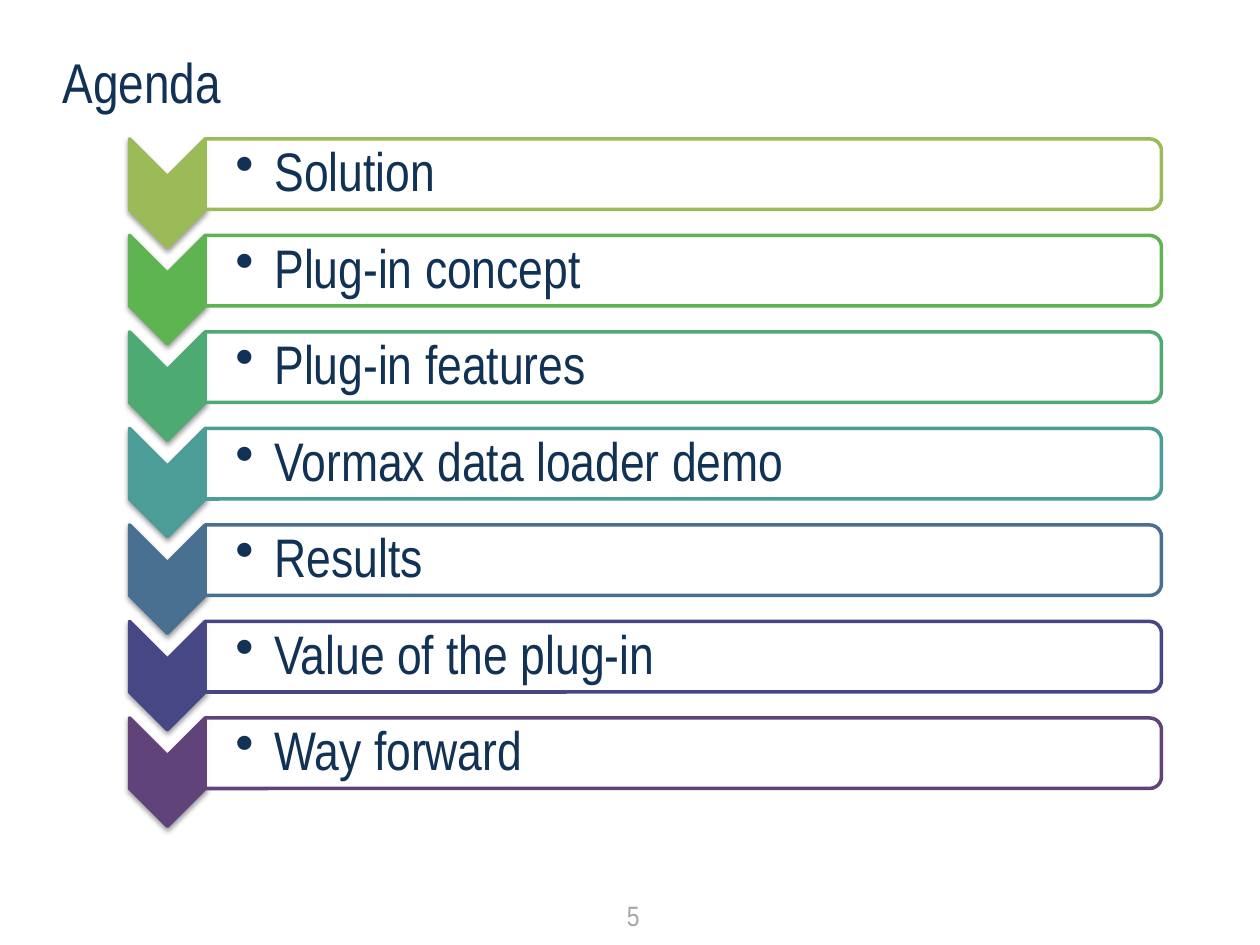
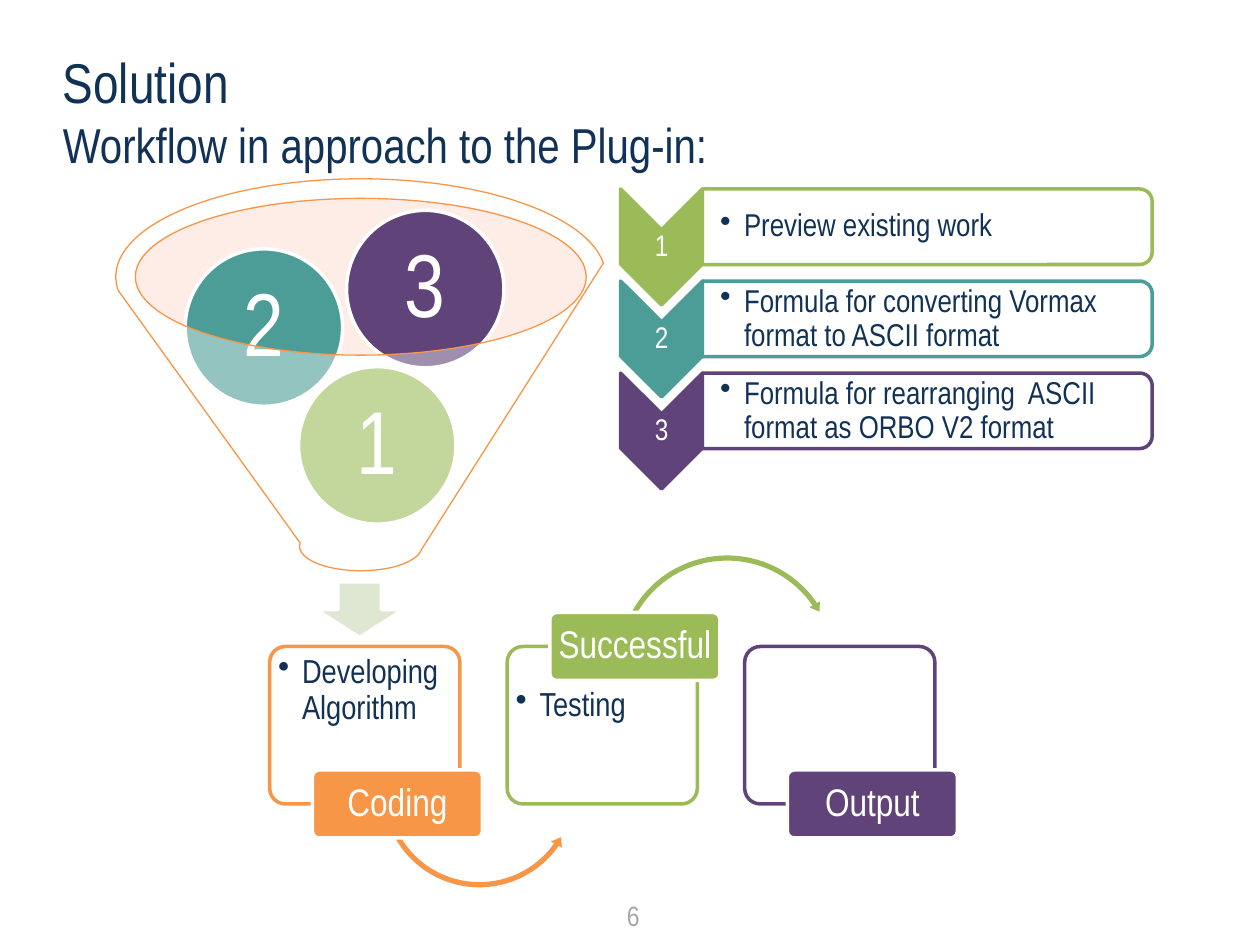
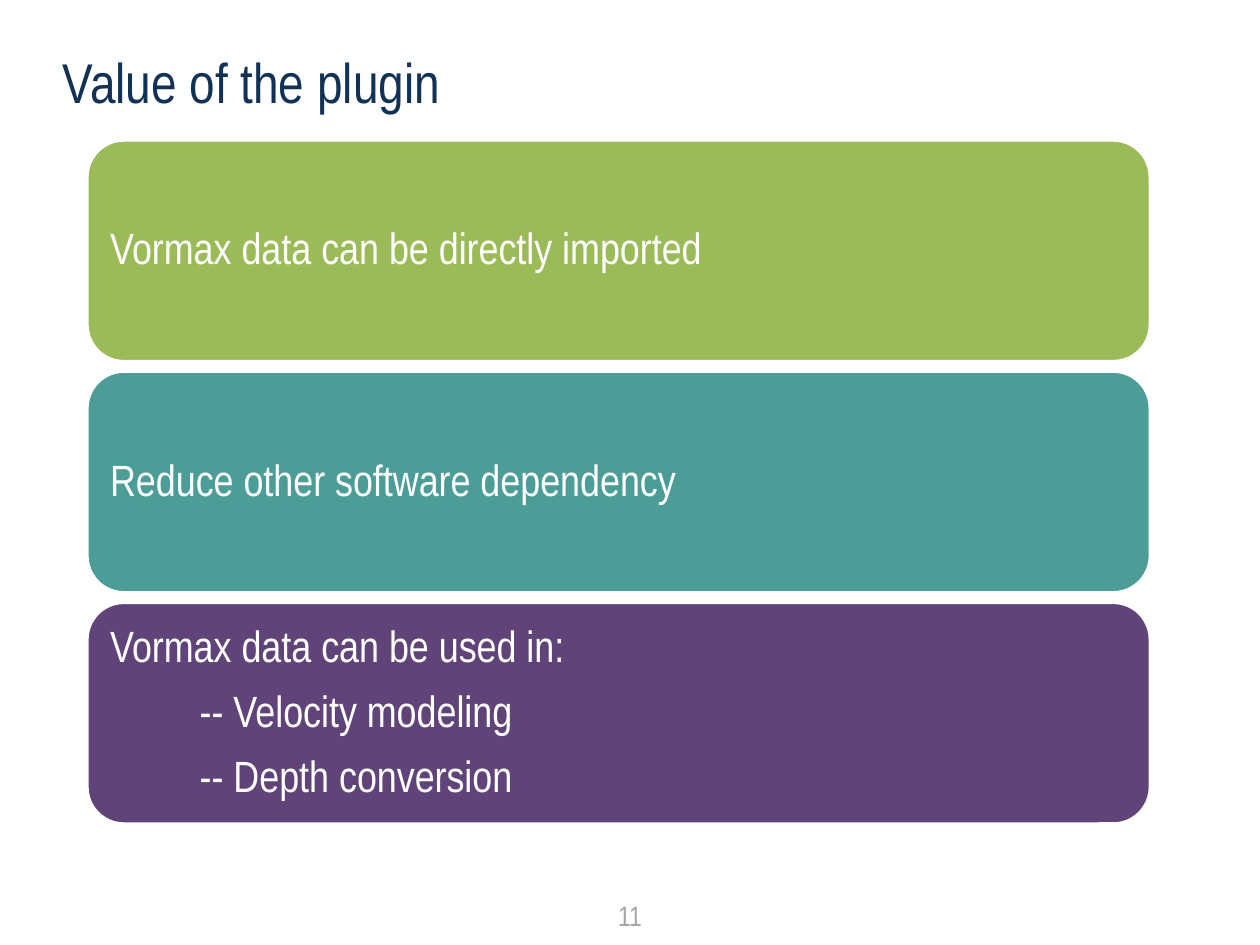
from lxml import etree
from pptx import Presentation
from pptx.dml.color import RGBColor
from pptx.enum.shapes import MSO_SHAPE
from pptx.enum.text import MSO_ANCHOR, PP_ALIGN
from pptx.oxml.ns import qn
from pptx.util import Pt

CHEVRON, HALF_ROUND = MSO_SHAPE.CHEVRON, MSO_SHAPE.ROUND_2_SAME_RECTANGLE
ROUNDED, ELLIPSE, FUNNEL = MSO_SHAPE.ROUNDED_RECTANGLE, MSO_SHAPE.OVAL, MSO_SHAPE.FUNNEL
DOWN_ARROW, ARC_OVER = MSO_SHAPE.DOWN_ARROW, MSO_SHAPE.CIRCULAR_ARROW
ARC_UNDER = MSO_SHAPE.LEFT_CIRCULAR_ARROW
TOP, MIDDLE = MSO_ANCHOR.TOP, MSO_ANCHOR.MIDDLE
LEFT, CENTER = PP_ALIGN.LEFT, PP_ALIGN.CENTER

FONT = "Arial Narrow"
NAVY, GREY, WHITE = "123255", "A6A6A6", "FFFFFF"
GREEN, TEAL, PURPLE, ORANGE = "9BBB59", "4C9D97", "604479", "F79646"
PALE_GREEN, PEACH = "DEE7D1", "FBD3C1"


def rgb(value):
    return RGBColor.from_string(value)


class Deck:
    """Hold the shared style and the current slide."""

    def __init__(self):
        self.prs = Presentation()
        self.prs.slide_width, self.prs.slide_height = Pt(720), Pt(540)
        self.slide = None

    def new_slide(self, title, number):
        self.slide = self.prs.slides.add_slide(self.prs.slide_layouts[6])
        self.textbox((28.8, 23.8, 662, 90), [title], 32, insets=(7.2, 3.6))
        self.textbox((0, 509.8, 720, 26.6), [f"{number:>2}"], 16, GREY, CENTER,
                     insets=(7.2, 3.6))

    def fill_text(self, shape, lines, size, color=NAVY, align=LEFT, anchor=TOP,
                  insets=(1, 1), bullet=0, indents=(), spacing=None, after=0):
        frame = shape.text_frame
        frame.word_wrap = True
        frame.vertical_anchor = anchor
        frame.margin_left, frame.margin_top = Pt(insets[0]), Pt(insets[1])
        frame.margin_right = Pt(min(insets[0], 7.2))
        frame.margin_bottom = Pt(min(insets[1], 7.2))
        for index, line in enumerate(lines):
            paragraph = frame.add_paragraph() if index else frame.paragraphs[0]
            paragraph.alignment = align
            paragraph.line_spacing = spacing
            paragraph.space_after = Pt(after)
            properties = paragraph._p.get_or_add_pPr()
            if bullet:
                properties.set("marL", str(Pt(bullet)))
                properties.set("indent", str(-Pt(bullet)))
                etree.SubElement(properties, qn("a:buChar"), char="•")
            elif indents:
                properties.set("marL", str(Pt(indents[index])))
            run = paragraph.add_run()
            run.text = line
            run.font.name, run.font.size = FONT, Pt(size)
            run.font.color.rgb = rgb(color)

    def textbox(self, box, lines, size, *args, **style):
        area = self.slide.shapes.add_textbox(*map(Pt, box))
        self.fill_text(area, lines, size, *args, **style)

    def shape(self, kind, box, fill, line=None, weight=2, alpha=100, adjust=(),
              turned=False, shadow=False):
        left, top, width, height = box
        if turned:
            left, top = left + (width - height) / 2, top + (height - width) / 2
            width, height = height, width
        shape = self.slide.shapes.add_shape(kind, *map(Pt, (left, top, width, height)))
        shape.rotation = 90 if turned else 0
        for index, value in enumerate(adjust):
            shape.adjustments[index] = value
        shape.shadow.inherit = False
        shape.fill.solid()
        shape.fill.fore_color.rgb = rgb(fill)
        properties = shape.element.spPr
        if alpha < 100:
            tint = properties.find(qn("a:solidFill"))[0]
            etree.SubElement(tint, qn("a:alpha"), val=str(alpha * 1000))
        if line:
            shape.line.color.rgb = rgb(line)
            shape.line.width = Pt(weight)
        else:
            shape.line.fill.background()
        if shadow:
            outer = etree.SubElement(
                properties.find(qn("a:effectLst")), qn("a:outerShdw"),
                blurRad=str(Pt(3.1)), dist=str(Pt(1.6)), dir="5400000", rotWithShape="0")
            black = etree.SubElement(outer, qn("a:srgbClr"), val="000000")
            etree.SubElement(black, qn("a:alpha"), val="38000")
        return shape

    def chevron_list(self, rows, left, top, pitch, chevron, bar, size, inset, bullet,
                     numbered=False):
        for index, (label, color) in enumerate(rows):
            y = top + index * pitch
            marker = (left, y, *chevron)
            body = (left + chevron[0], y, *bar)
            self.shape(CHEVRON, marker, color, color, turned=True, shadow=not numbered)
            if numbered:
                self.textbox(marker, [str(index + 1)], 17, WHITE, CENTER, MIDDLE,
                             spacing=0.9, after=6)
            self.shape(HALF_ROUND, body, WHITE, color, alpha=90, turned=True)
            self.textbox(body, [label], size, anchor=MIDDLE, insets=(inset, 1),
                         bullet=bullet, spacing=0.9, after=0.15 * size)

    def ball(self, left, top, number, color):
        ball = self.shape(ELLIPSE, (left, top, 90, 90), color, WHITE)
        self.fill_text(ball, [number], 51, WHITE, CENTER, MIDDLE, (5, 5),
                       spacing=0.9, after=18)

    def stage(self, left, top, color, label, label_top, lines=(), text_top=2):
        card = self.shape(ROUNDED, (left, top, 108.7, 90), WHITE, color,
                          alpha=90, adjust=[0.1])
        self.fill_text(card, lines, 19, insets=(2.2, text_top), bullet=13.7, spacing=0.9)
        return (left + 24.4, label_top, 97.2, 38.9), color, label

    def stage_label(self, box, color, label):
        tag = self.shape(ROUNDED, box, color, WHITE, adjust=[0.1])
        self.fill_text(tag, [label], 22, WHITE, CENTER, MIDDLE, (2, 2),
                       spacing=0.9, after=8)

    def panel(self, top, color, lines):
        panel = self.shape(ROUNDED, (49.7, top, 607.7, 126.7), color, WHITE)
        self.fill_text(panel, lines, 25, WHITE, anchor=MIDDLE, insets=(7.2, 7.2),
                       indents=[51.2 if line.startswith("--") else 0 for line in lines],
                       spacing=0.9, after=10)


def agenda(deck):
    deck.new_slide("Agenda", 5)
    topics = [("Solution", GREEN), ("Plug-in concept", "5FB452"),
              ("Plug-in features", "4DAA72"), ("Vormax data loader demo", TEAL),
              ("Results", "497091"), ("Value of the plug-in", "474785"),
              ("Way forward", PURPLE)]
    deck.chevron_list(topics, 74, 79.4, 55.15, (43.2, 61.9), (546.5, 40.3), 31, 17.3, 22.3)


def solution(deck):
    deck.new_slide("Solution", 6)
    deck.textbox((28.8, 61.9, 662, 47.5), ["Workflow in approach to the Plug-in:"], 28,
                 insets=(7.2, 3.6))

    deck.shape(ELLIPSE, (77, 113, 257.8, 89.3), PEACH, alpha=40)
    deck.shape(DOWN_ARROW, (180.7, 332.6, 49.7, 31.7), PALE_GREEN, WHITE)
    deck.ball(170.6, 209.5, "1", GREEN)
    deck.ball(105.8, 142.2, "2", TEAL)
    deck.ball(198, 120.2, "3", PURPLE)
    deck.shape(FUNNEL, (66.2, 102.2, 280, 224), WHITE, ORANGE, 0.75, 40)

    first, pitch, top, low, high = 154.1, 135.7, 369.4, 440, 350
    coding = deck.stage(first, top, ORANGE, "Coding", low, ["Developing Algorithm"])
    deck.shape(ARC_UNDER, (216.7, 394.6, 114.5, 114.5), ORANGE,
               adjust=[0.026, 3.193, 20.948, 90.245, 0.031])
    deck.stage_label(*coding)
    testing = deck.stage(first + pitch, top, GREEN, "Successful", high, ["Testing"], 21)
    deck.shape(ARC_OVER, (351.4, 315.4, 128.2, 128.2), GREEN,
               adjust=[0.023, 2.827, 195.418, 125.755, 0.027])
    deck.stage_label(*testing)
    deck.stage_label(*deck.stage(first + 2 * pitch, top, PURPLE, "Output", low))

    steps = [("Preview existing work", GREEN),
             ("Formula for converting Vormax format to ASCII format", TEAL),
             ("Formula for rearranging  ASCII format as ORBO V2 format", PURPLE)]
    deck.chevron_list(steps, 354.6, 108, 52.6, (46.8, 66.2), (257, 43.2), 18, 10.1, 13.7,
                      numbered=True)


def plugin_value(deck):
    deck.new_slide("Value of the plugin", 11)
    benefits = [(GREEN, ["Vormax data can be directly imported"]),
                (TEAL, ["Reduce other software dependency"]),
                (PURPLE, ["Vormax data can be used in:", "-- Velocity modeling",
                          "-- Depth conversion"])]
    for index, (color, lines) in enumerate(benefits):
        deck.panel(80 + index * 132.1, color, lines)


def main():
    deck = Deck()
    agenda(deck)
    solution(deck)
    plugin_value(deck)
    deck.prs.save("out.pptx")


if __name__ == "__main__":
    main()
